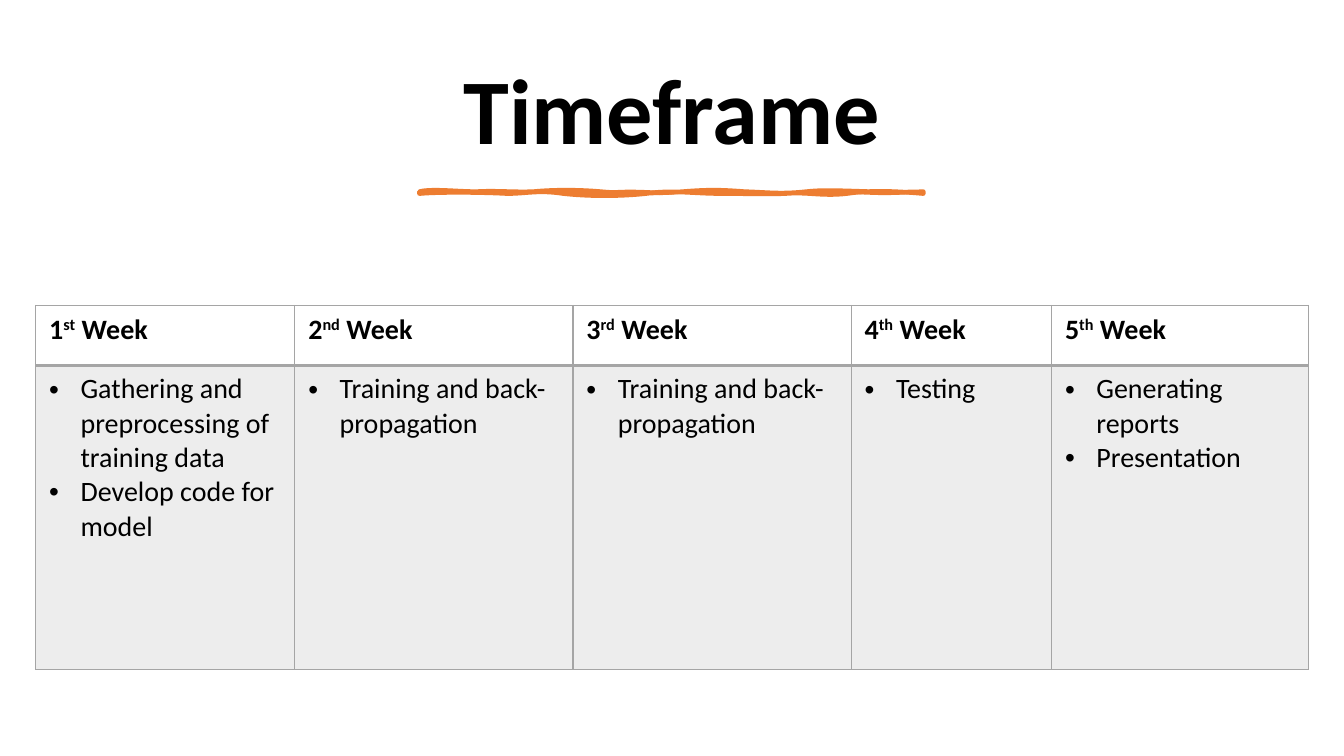
from dataclasses import dataclass

from lxml import etree
from pptx import Presentation
from pptx.dml.color import RGBColor
from pptx.enum.text import MSO_ANCHOR, PP_ALIGN
from pptx.oxml.ns import qn
from pptx.util import Cm, Pt

CENTER = PP_ALIGN.CENTER
MIDDLE = MSO_ANCHOR.MIDDLE


@dataclass(frozen=True)
class Theme:
    font: str = "Calibri"
    ink: str = "000000"
    accent: str = "ED7D31"
    grey: str = "A5A5A5"
    body_opacity: int = 20
    title_size: float = 66
    table_size: float = 20
    brush_width: float = 3.25
    thin: float = 1
    thick: float = 2


@dataclass(frozen=True)
class Week:
    number: str
    suffix: str
    width: float
    tasks: tuple[str, ...]


@dataclass(frozen=True)
class BrushPath:
    """Curves in cm: two control points and an end point each."""
    hidden_part: dict[str, str]
    curves: tuple


THEME = Theme()
WEEKS = (
    Week("1", "st", 6.53, ("Gathering and preprocessing of training data",
                           "Develop code for model")),
    Week("2", "nd", 7.01, ("Training and back-propagation",)),
    Week("3", "rd", 7.01, ("Training and back-propagation",)),
    Week("4", "th", 5.05, ("Testing",)),
    Week("5", "th", 6.48, ("Generating reports", "Presentation")),
)
ROW_HEIGHTS = (1.51, 7.67)
CELL_MARGINS = {"margin_left": Cm(0.34), "margin_right": Cm(0.34),
                "margin_top": Cm(0.17), "margin_bottom": Cm(0.17)}
BULLET_INDENT = Cm(0.79)

BRUSH_LEFT, BRUSH_TOP, BRUSH_RIGHT, BRUSH_BOTTOM = 10.57, 4.83, 23.27, 4.88
BRUSH_OUTLINE = BrushPath({"fill": "none"}, (
    # upper edge, left to right
    ((10.87, 4.75), (11.53, 4.83), (12.01, 4.83)),
    ((12.5, 4.8), (12.93, 4.85), (13.44, 4.83)),
    ((13.94, 4.78), (14.58, 4.78), (15.14, 4.83)),
    ((15.67, 4.88), (16.59, 4.88), (17.2, 4.83)),
    ((17.83, 4.78), (18.14, 4.78), (18.77, 4.83)),
    ((19.38, 4.85), (19.66, 4.9), (20.32, 4.83)),
    ((20.98, 4.75), (22.02, 4.88), (23.27, 4.83)),
    # lower edge, right to left
    ((23.29, 4.85), (23.27, 4.85), (23.27, 4.88)),
    ((22.73, 4.83), (21.97, 4.78), (21.34, 4.88)),
    ((20.7, 4.95), (20.35, 4.83), (19.79, 4.88)),
    ((19.2, 4.9), (18.97, 4.88), (18.21, 4.88)),
    ((17.45, 4.88), (16.94, 4.78), (16.28, 4.88)),
    ((15.6, 4.95), (14.86, 4.95), (14.2, 4.88)),
    ((13.56, 4.78), (13.28, 4.88), (12.78, 4.88)),
    ((12.27, 4.85), (11.13, 4.83), (10.57, 4.88)),
    ((10.57, 4.85), (10.57, 4.83), (10.57, 4.83)),
))
BRUSH_BODY = BrushPath({"stroke": "0"}, (
    # upper edge, left to right
    ((10.97, 4.8), (11.48, 4.78), (12.14, 4.83)),
    ((12.78, 4.85), (12.9, 4.88), (13.56, 4.83)),
    ((14.22, 4.78), (14.58, 4.88), (15.14, 4.83)),
    ((15.7, 4.75), (16.23, 4.78), (16.94, 4.83)),
    ((17.65, 4.85), (18.39, 4.75), (18.9, 4.83)),
    ((19.38, 4.88), (20.37, 4.78), (20.96, 4.83)),
    ((21.54, 4.85), (22.15, 4.9), (23.27, 4.83)),
    # lower edge, right to left
    ((23.27, 4.83), (23.27, 4.85), (23.27, 4.88)),
    ((22.33, 4.93), (22.25, 4.93), (21.34, 4.88)),
    ((20.42, 4.8), (20.22, 4.85), (19.28, 4.88)),
    ((18.31, 4.88), (18.19, 4.78), (17.2, 4.88)),
    ((16.23, 4.98), (16.18, 4.83), (15.77, 4.88)),
    ((15.34, 4.9), (14.53, 4.9), (13.82, 4.88)),
    ((13.13, 4.83), (12.8, 4.85), (12.14, 4.88)),
    ((11.48, 4.88), (11.2, 4.8), (10.57, 4.88)),
    ((10.57, 4.85), (10.57, 4.83), (10.57, 4.83)),
))


def apply_format(target, values: dict) -> None:
    for attribute, value in values.items():
        setattr(target, attribute, value)


def add_run(paragraph, text: str, size: float, bold: bool, raised: int = 0) -> None:
    run = paragraph.add_run()
    run.text = text
    apply_format(run.font, {"name": THEME.font, "size": Pt(size), "bold": bold})
    run.font.color.rgb = RGBColor.from_string(THEME.ink)
    if raised:
        run.font._element.set("baseline", str(raised * 1000))


def add_bullet(paragraph) -> None:
    properties = paragraph._p.get_or_add_pPr()
    properties.set("marL", str(BULLET_INDENT))
    properties.set("indent", str(-BULLET_INDENT))
    etree.SubElement(properties, qn("a:buFont")).set("typeface", "Arial")
    etree.SubElement(properties, qn("a:buChar")).set("char", "•")


def add_borders(cell, widths: dict[str, float]) -> None:
    properties = cell._tc.get_or_add_tcPr()
    for side, width in widths.items():
        border = etree.SubElement(properties, qn(f"a:ln{side}"), w=str(Pt(width)))
        fill = etree.SubElement(border, qn("a:solidFill"))
        etree.SubElement(fill, qn("a:srgbClr")).set("val", THEME.grey)


def fill_body(cell) -> None:
    cell.fill.solid()
    cell.fill.fore_color.rgb = RGBColor.from_string(THEME.grey)
    color = cell._tc.tcPr.find(qn("a:solidFill")).find(qn("a:srgbClr"))
    etree.SubElement(color, qn("a:alpha")).set("val", str(THEME.body_opacity * 1000))


def add_title(slide) -> None:
    frame = slide.shapes.add_textbox(Cm(1.78), Cm(1.15), Cm(30.3), Cm(3.48)).text_frame
    apply_format(frame, {"word_wrap": True, "vertical_anchor": MIDDLE})
    paragraph = frame.paragraphs[0]
    apply_format(paragraph, {"alignment": CENTER, "line_spacing": 0.9})
    add_run(paragraph, "Timeframe", THEME.title_size, True)


def add_points(segment, points) -> None:
    for x, y in points:
        etree.SubElement(segment, qn("a:pt"), x=str(Cm(x - BRUSH_LEFT)),
                         y=str(Cm(y - BRUSH_TOP)))


def add_brush_stroke(slide) -> None:
    builder = slide.shapes.build_freeform(Cm(BRUSH_LEFT), Cm(BRUSH_TOP))
    builder.add_line_segments([(Cm(BRUSH_RIGHT), Cm(BRUSH_TOP)),
                               (Cm(BRUSH_RIGHT), Cm(BRUSH_BOTTOM))])
    stroke = builder.convert_to_shape()
    stroke.shadow.inherit = False
    for fill in (stroke.fill, stroke.line.fill):
        fill.solid()
        fill.fore_color.rgb = RGBColor.from_string(THEME.accent)
    stroke.line.width = Pt(THEME.brush_width)
    etree.SubElement(stroke.line._get_or_add_ln(), qn("a:round"))

    # Curved outline and curved body in place of the straight frame
    outlines = next(stroke._element.iter(qn("a:pathLst")))
    outlines.remove(outlines[0])
    for brush in (BRUSH_OUTLINE, BRUSH_BODY):
        outline = etree.SubElement(outlines, qn("a:path"), brush.hidden_part,
                                   w=str(stroke.width), h=str(stroke.height))
        add_points(etree.SubElement(outline, qn("a:moveTo")), [(BRUSH_LEFT, BRUSH_TOP)])
        for curve in brush.curves:
            add_points(etree.SubElement(outline, qn("a:cubicBezTo")), curve)
        etree.SubElement(outline, qn("a:close"))


def add_schedule(slide) -> None:
    table = slide.shapes.add_table(
        len(ROW_HEIGHTS), len(WEEKS), Cm(0.9), Cm(7.7),
        Cm(sum(week.width for week in WEEKS)), Cm(sum(ROW_HEIGHTS))).table
    apply_format(table, {"first_row": False, "horz_banding": False})
    for row, height in zip(table.rows, ROW_HEIGHTS):
        row.height = Cm(height)

    sides = dict.fromkeys("LRTB", THEME.thin)
    for index, week in enumerate(WEEKS):
        table.columns[index].width = Cm(week.width)
        heading, body = table.cell(0, index), table.cell(1, index)
        for cell in (heading, body):
            apply_format(cell, CELL_MARGINS)
        add_borders(heading, sides | {"B": THEME.thick})
        add_borders(body, sides | {"T": THEME.thick})
        heading.fill.background()
        fill_body(body)

        # Week heading with raised ordinal
        paragraph = heading.text_frame.paragraphs[0]
        for text, raised in ((week.number, 0), (week.suffix, 30), (" Week", 0)):
            add_run(paragraph, text, THEME.table_size, True, raised)

        # Bulleted tasks
        frame = body.text_frame
        for position, task in enumerate(week.tasks):
            paragraph = frame.add_paragraph() if position else frame.paragraphs[0]
            add_bullet(paragraph)
            add_run(paragraph, task, THEME.table_size, False)


def main() -> None:
    deck = Presentation()
    apply_format(deck, {"slide_width": Cm(33.87), "slide_height": Cm(19.05)})
    slide = deck.slides.add_slide(deck.slide_layouts[6])
    add_title(slide)
    add_brush_stroke(slide)
    add_schedule(slide)
    deck.save("out.pptx")


if __name__ == "__main__":
    main()
